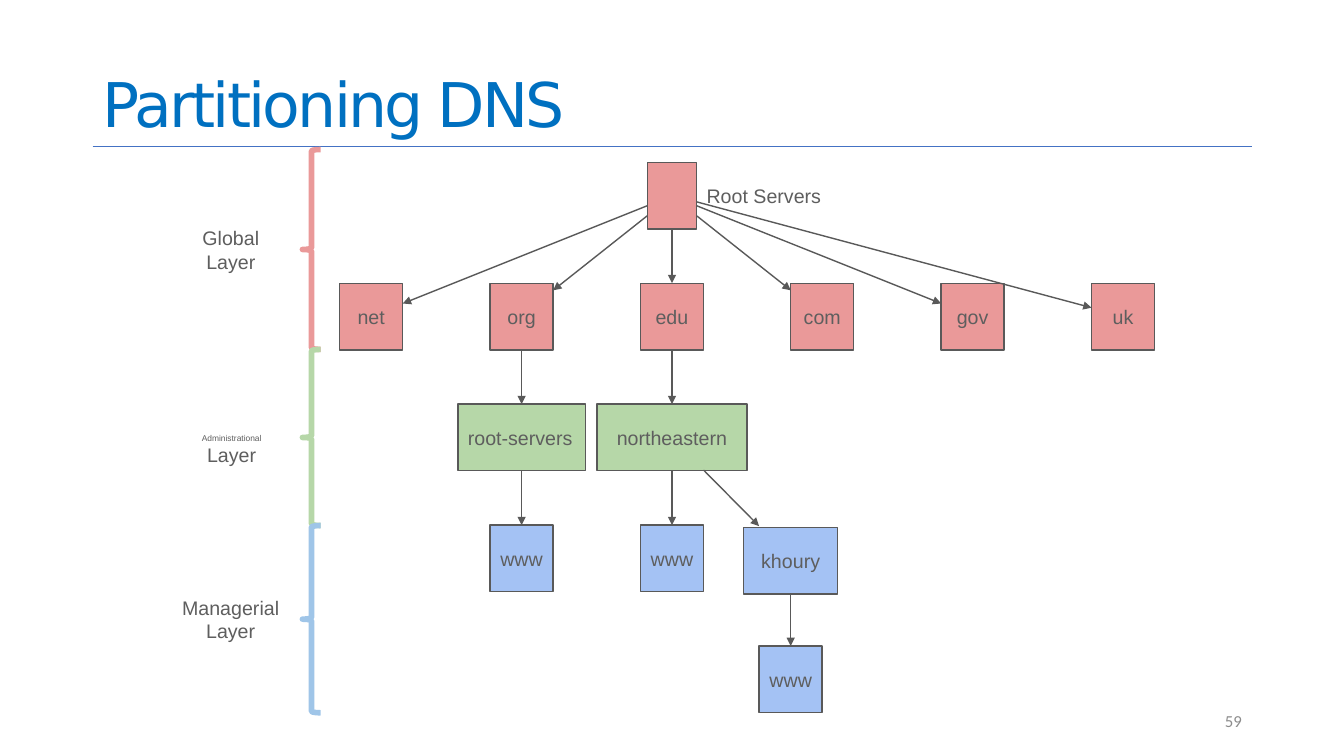
from dataclasses import dataclass

from lxml import etree
from pptx import Presentation
from pptx.dml.color import RGBColor
from pptx.enum.shapes import MSO_CONNECTOR, MSO_SHAPE
from pptx.enum.text import MSO_ANCHOR, PP_ALIGN
from pptx.oxml.ns import qn
from pptx.util import Pt

LEFT, CENTER, RIGHT = PP_ALIGN.LEFT, PP_ALIGN.CENTER, PP_ALIGN.RIGHT
MIDDLE, BOTTOM = MSO_ANCHOR.MIDDLE, MSO_ANCHOR.BOTTOM
RECTANGLE, BRACE = MSO_SHAPE.RECTANGLE, MSO_SHAPE.LEFT_BRACE
STRAIGHT = MSO_CONNECTOR.STRAIGHT


@dataclass
class Theme:
    title: str = "0070C0"
    rule: str = "4472C4"
    number: str = "8C8C8C"
    text: str = "5E5E5E"
    edge: str = "595959"
    red: str = "EA9999"
    green: str = "B6D7A8"
    blue: str = "A4C2F4"
    blue_brace: str = "9FC5E8"
    title_size: float = 44
    body_size: float = 14
    number_size: float = 12
    small_size: float = 6


theme = Theme()


def write(shape, lines, align=CENTER, anchor=MIDDLE, inset=7.2, font="Arial", color=theme.text):
    frame = shape.text_frame
    frame_format = {
        "word_wrap": True, "vertical_anchor": anchor,
        "margin_left": Pt(7.2), "margin_right": Pt(7.2),
        "margin_top": Pt(inset), "margin_bottom": Pt(inset),
    }
    for name, value in frame_format.items():
        setattr(frame, name, value)
    for index, (text, size) in enumerate(lines):
        para = frame.add_paragraph() if index else frame.paragraphs[0]
        para.alignment = align
        span = para.add_run()
        span.text = text
        for name, value in {"name": font, "size": Pt(size)}.items():
            setattr(span.font, name, value)
        span.font.color.rgb = RGBColor.from_string(color)
    return frame


def connect(start, end, color=theme.edge, width=1, arrow=True):
    line = page.shapes.add_connector(STRAIGHT, *map(Pt, (*start, *end)))
    line.line.color.rgb = RGBColor.from_string(color)
    line.line.width = Pt(width)
    if arrow:
        etree.SubElement(line.line._get_or_add_ln(), qn("a:tailEnd"), type="triangle")
    etree.SubElement(line._element.spPr, qn("a:effectLst"))


deck = Presentation()
deck.slide_width, deck.slide_height = Pt(960), Pt(540)
page = deck.slides.add_slide(deck.slide_layouts[6])

connect((66.2, 104.6), (894.2, 104.6), theme.rule, 0.5, False)
title_box = page.shapes.add_textbox(*map(Pt, (66.2, 0, 828, 104.4)))
title = write(title_box, [("Partitioning DNS", theme.title_size)],
              LEFT, BOTTOM, 3.6, "DejaVu Sans", theme.title).paragraphs[0]
title.line_spacing = 0.9
title.runs[0].font._element.set("spc", "-200")
number_box = page.shapes.add_textbox(*map(Pt, (678.2, 500.4, 216, 28.8)))
write(number_box, [("59", theme.number_size)], RIGHT, MIDDLE, 3.6, "Calibri", theme.number)

NODE_WIDTH, NODE_HEIGHT = 45, 47.6
columns = [265.2 + 107.4 * index for index in range(6)]
rows = [115.9 + 86.4 * index for index in range(5)]
net, org, edu, com, gov, uk = columns
root_row, domain_row, admin_row, host_row, leaf_row = rows
KHOURY_X, KHOURY_Y = 564.8, 376.6

nodes = [("", edu, root_row, 35.4, theme.red)]
for name, column in zip(("net", "org", "edu", "com", "gov", "uk"), columns):
    nodes.append((name, column, domain_row, NODE_WIDTH, theme.red))
nodes += [
    ("root-servers", org, admin_row, 91, theme.green),
    ("northeastern", edu, admin_row, 107.4, theme.green),
    ("www", org, host_row, NODE_WIDTH, theme.blue),
    ("www", edu, host_row, NODE_WIDTH, theme.blue),
    ("khoury", KHOURY_X, KHOURY_Y, 67, theme.blue),
    ("www", KHOURY_X, leaf_row, NODE_WIDTH, theme.blue),
]
for name, center, top, width, color in nodes:
    node = page.shapes.add_shape(
        RECTANGLE, *map(Pt, (center - width / 2, top, width, NODE_HEIGHT)))
    node.shadow.inherit = False
    node.fill.solid()
    node.fill.fore_color.rgb = RGBColor.from_string(color)
    node.line.color.rgb = RGBColor.from_string(theme.edge)
    node.line.width = Pt(1)
    if name:
        write(node, [(name, theme.body_size)], LEFT if name == "root-servers" else CENTER)

root_left, root_right = edu - 17.7, edu + 17.7
half = NODE_WIDTH / 2
for start, end in [
    ((root_left, 147), (net + half, 216.8)),
    ((root_left, 154.2), (org + half, 207.4)),
    ((root_right, 154.2), (com - half, 207.4)),
    ((root_right, 147), (gov - half, 216.8)),
    ((root_right, 144.2), (uk - half, 219.8)),
    ((502.6, 335.8), (542.2, 375.8)),
]:
    connect(start, end)

for center, top, bottom in [
    (edu, root_row, domain_row),
    (org, domain_row, admin_row),
    (edu, domain_row, admin_row),
    (org, admin_row, host_row),
    (edu, admin_row, host_row),
    (KHOURY_X, KHOURY_Y, leaf_row),
]:
    connect((center, top + NODE_HEIGHT), (center, bottom))

for top, bottom, color in [
    (106.8, 249.6, theme.red),
    (249.6, 375.4, theme.green),
    (375.4, 509.2, theme.blue_brace),
]:
    brace = page.shapes.add_shape(BRACE, *map(Pt, (216, top, 13, bottom - top)))
    brace.shadow.inherit = False
    brace.fill.background()
    brace.line.color.rgb = RGBColor.from_string(color)
    brace.line.width = Pt(4)

for left, top, width, height, lines, align in [
    (133.9, 154.1, 62, 48.2,
     [("Global", theme.body_size), ("Layer", theme.body_size)], CENTER),
    (113, 301.7, 105, 38.9,
     [("Administrational", theme.small_size), ("Layer", theme.body_size)], CENTER),
    (112.3, 418.3, 105, 48.2,
     [("Managerial", theme.body_size), ("Layer", theme.body_size)], CENTER),
    (497.6, 124, 119.6, 31.7, [("Root Servers", theme.body_size)], LEFT),
]:
    label = page.shapes.add_textbox(*map(Pt, (left, top, width, height)))
    write(label, lines, align)

deck.save("out.pptx")
